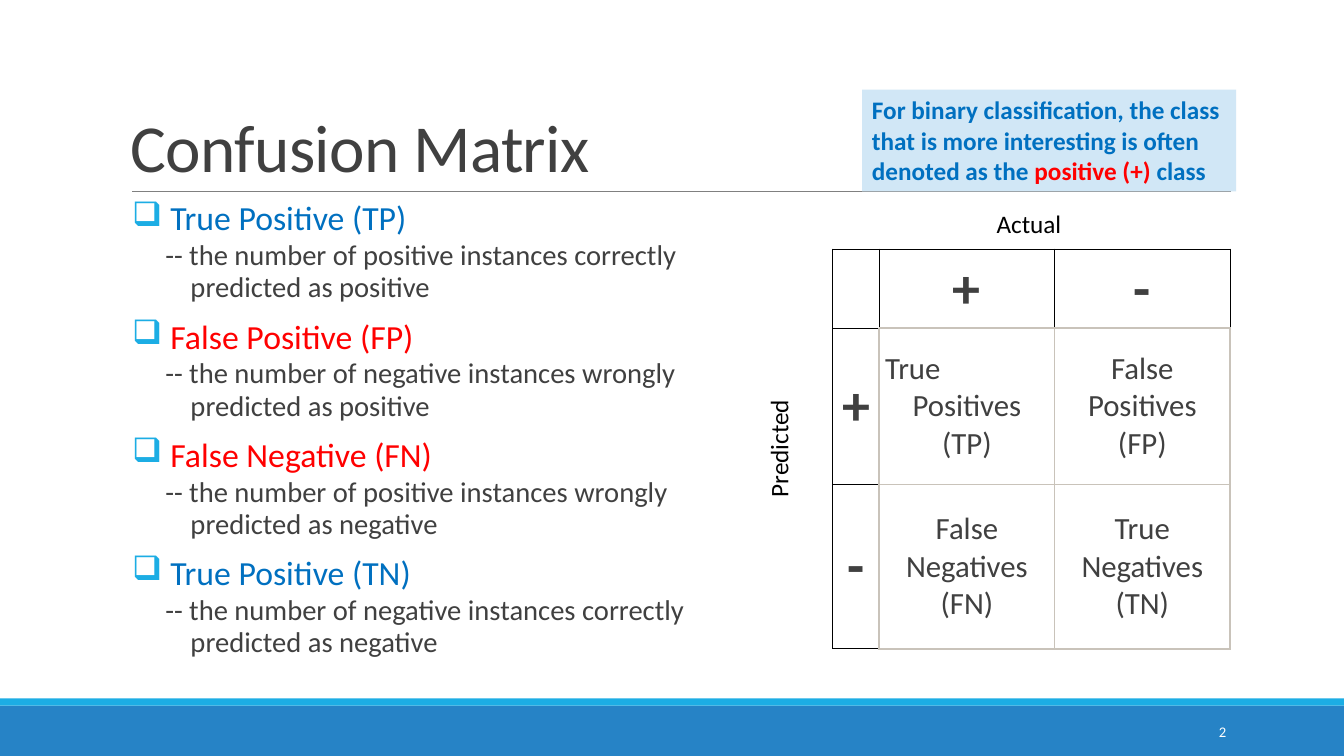
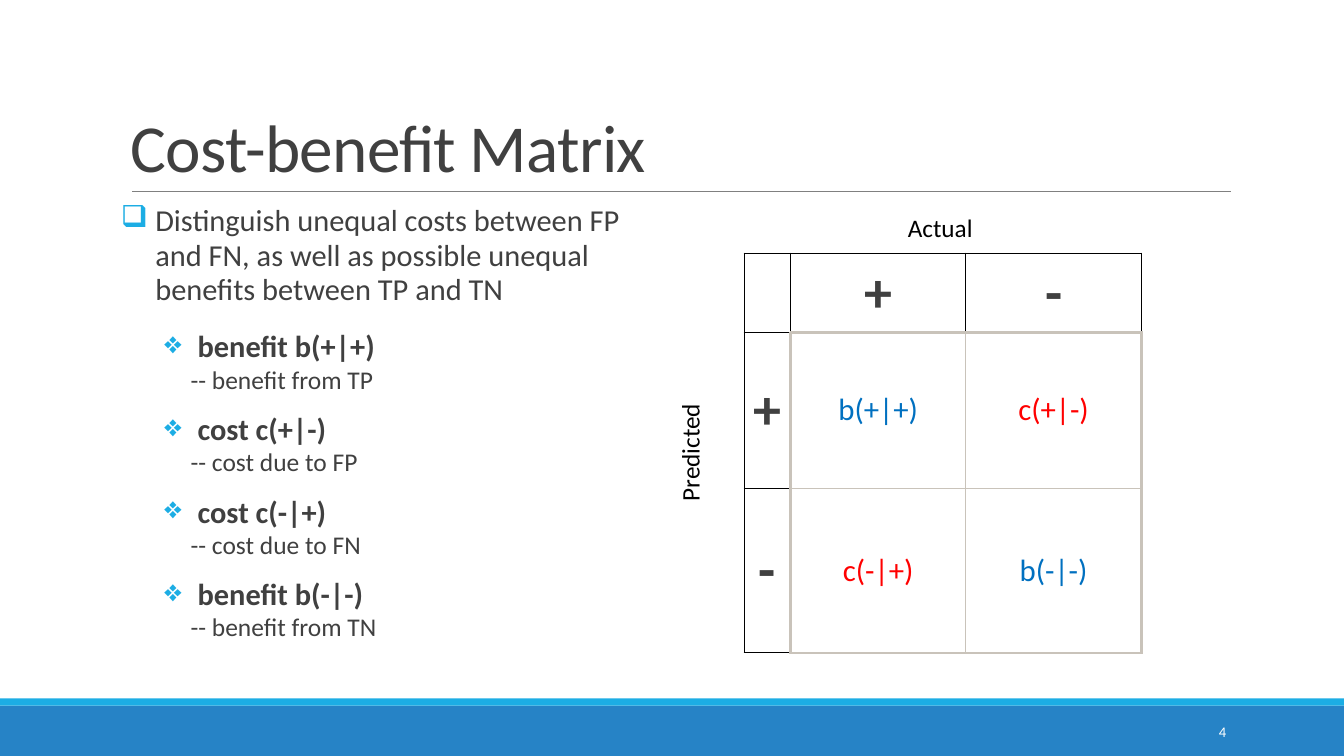
from dataclasses import dataclass
from typing import Optional

import pptx
import pptx.dml.color
import pptx.enum.shapes
import pptx.enum.text
import pptx.oxml
import pptx.oxml.ns
import pptx.util
from lxml import etree

Inches = pptx.util.Inches
Pt = pptx.util.Pt
RGBColor = pptx.dml.color.RGBColor
Align = pptx.enum.text.PP_ALIGN
Anchor = pptx.enum.text.MSO_ANCHOR

FONT = "Calibri"
BLACK = RGBColor(0x00, 0x00, 0x00)
WHITE = RGBColor(0xFF, 0xFF, 0xFF)
INK = RGBColor(0x40, 0x40, 0x40)
GREY = RGBColor(0x80, 0x80, 0x80)
SAND = RGBColor(0xC9, 0xC3, 0xBA)
BLUE = RGBColor(0x00, 0x70, 0xC0)
RED = RGBColor(0xFF, 0x00, 0x00)
PALE = RGBColor(0xD1, 0xE7, 0xF6)
BAND = RGBColor(0x26, 0x83, 0xC6)
CYAN = RGBColor(0x1C, 0xAD, 0xE4)

COLS = (0.46, 1.74, 1.74)
ROWS = (0.78, 1.55, 1.63)
LEAD = 0.94


@dataclass
class Item:
    head: str
    note: str
    color: RGBColor = INK


@dataclass
class Style:
    """Sizes in points and indents in inches for a list of items."""
    bullet: str
    head: float
    note: float
    left: float
    hang: float
    inset: float
    wrap: float
    after: float
    bold: bool = False


@dataclass
class Entry:
    """A body cell; lead is an opening line set flush left."""
    text: str
    color: RGBColor = INK
    lead: str = ""


TERMS = [
    Item("True Positive (TP)",
         "-- the number of positive instances correctly predicted as positive", BLUE),
    Item("False Positive (FP)",
         "-- the number of negative instances wrongly predicted as positive", RED),
    Item("False Negative (FN)",
         "-- the number of positive instances wrongly predicted as negative", RED),
    Item("True Positive (TN)",
         "-- the number of negative instances correctly predicted as negative", BLUE),
]
COSTS = [
    Item("benefit b(+|+)", "-- benefit from TP"),
    Item("cost c(+|-)", "-- cost due to FP"),
    Item("cost c(-|+)", "-- cost due to FN"),
    Item("benefit b(-|-)", "-- benefit from TN"),
]
COUNTS = [
    [Entry("Positives (TP)", lead="True"), Entry("False Positives (FP)")],
    [Entry("False Negatives (FN)"), Entry("True Negatives (TN)")],
]
VALUES = [
    [Entry("b(+|+)", BLUE), Entry("c(+|-)", RED)],
    [Entry("c(-|+)", RED), Entry("b(-|-)", BLUE)],
]
TERM = Style("❑", 24.1, 20.4, 0.38, 0.38, 0.33, 0.25, 10.2)
COST = Style("❖", 21.7, 18.2, 0.76, 0.33, 0.69, 0, 13, True)


def write(frame, text: str, *, size: float, color: RGBColor = INK,
          bold: bool = False, align=Align.LEFT, lead: float = 1,
          before: float = 0, after: float = 0, left: float = 0,
          hang: float = 0, bullet: Optional[str] = None,
          track: int = 0, join: bool = False) -> None:
    """Add a paragraph, or with join a run at the end of the last one."""
    para = frame.paragraphs[-1]
    if not join:
        if para.runs:
            para = frame.add_paragraph()
        props = para._p.get_or_add_pPr()
        props.set("marL", str(Inches(left)))
        props.set("indent", str(-Inches(hang)))
        if bullet:
            tint = etree.SubElement(props, pptx.oxml.ns.qn("a:buClr"))
            etree.SubElement(tint, pptx.oxml.ns.qn("a:srgbClr"), val=str(CYAN))
            etree.SubElement(props, pptx.oxml.ns.qn("a:buChar"), char=bullet)
        para.alignment = align
        para.line_spacing = lead
        para.space_before = Pt(before)
        para.space_after = Pt(after)
    run = para.add_run()
    run.text = text
    font = run.font
    font.name, font.size, font.bold = FONT, Pt(size), bold
    font.color.rgb = color
    if track:
        run._r.get_or_add_rPr().set("spc", str(track))


def inset(frame, side: float, top: float) -> None:
    frame.margin_left = frame.margin_right = Inches(side)
    frame.margin_top = frame.margin_bottom = Inches(top)


def box(slide, left: float, top: float, width: float, height: float,
        anchor=Anchor.TOP, wrap: bool = True):
    shape = slide.shapes.add_textbox(
        Inches(left), Inches(top), Inches(width), Inches(height))
    shape.text_frame.word_wrap = wrap
    shape.text_frame.vertical_anchor = anchor
    return shape


def block(slide, left: float, top: float, width: float, height: float,
          fill: RGBColor):
    shape = slide.shapes.add_shape(
        pptx.enum.shapes.MSO_SHAPE.RECTANGLE,
        Inches(left), Inches(top), Inches(width), Inches(height))
    shape.shadow.inherit = False
    shape.fill.solid()
    shape.fill.fore_color.rgb = fill
    shape.line.fill.background()
    return shape


def start(deck, title: str, number: int):
    """Add a slide with bands, title rule, title and page number."""
    slide = deck.slides.add_slide(deck.slide_layouts[6])
    block(slide, 0, 7, 13.33, 0.5, BAND)
    block(slide, 0, 6.93, 13.33, 0.07, CYAN)
    rule = slide.shapes.add_connector(
        pptx.enum.shapes.MSO_CONNECTOR.STRAIGHT,
        Inches(1.31), Inches(1.9), Inches(12.21), Inches(1.9))
    rule.line.color.rgb = GREY
    rule.line.width = Pt(0.5)
    etree.SubElement(rule._element.spPr, pptx.oxml.ns.qn("a:effectLst"))
    write(box(slide, 1.2, 0.31, 11, 1.59, Anchor.BOTTOM).text_frame,
          title, size=48, lead=0.85, track=-50)
    write(box(slide, 10.83, 7.06, 1.43, 0.4, Anchor.MIDDLE).text_frame,
          str(number), size=10.5, color=WHITE, align=Align.RIGHT)
    return slide


def column(slide, left: float, top: float, width: float):
    frame = box(slide, left, top, width, 4.8).text_frame
    inset(frame, 0, 0.05)
    return frame


def listing(frame, items: list[Item], style: Style) -> None:
    for item in items:
        write(frame, item.head, size=style.head, color=item.color,
              bold=style.bold, lead=LEAD, left=style.left,
              hang=style.hang, bullet=style.bullet)
        write(frame, item.note, size=style.note, lead=LEAD, before=1,
              after=style.after, left=style.inset + style.wrap,
              hang=style.wrap)


def edge(cell, side: str, color: RGBColor, width: float) -> None:
    line = etree.SubElement(cell._tc.get_or_add_tcPr(),
                            pptx.oxml.ns.qn(f"a:ln{side}"), w=str(Pt(width)))
    fill = etree.SubElement(line, pptx.oxml.ns.qn("a:solidFill"))
    etree.SubElement(fill, pptx.oxml.ns.qn("a:srgbClr"), val=str(color))


def border(cell, row: int, col: int) -> None:
    """Sand lines round the body, heavier outside; thin black elsewhere."""
    sides = (("L", col, row), ("R", col + 1, row),
             ("T", row, col), ("B", row + 1, col))
    for side, rank, cross in sides:
        if rank and cross:
            edge(cell, side, SAND, 1 if rank == 2 else 2)
        else:
            edge(cell, side, BLACK, 0.75)


def label(slide, text: str, left: float, top: float, width: float,
          turn: int = 0) -> None:
    shape = box(slide, left, top, width, 0.42, Anchor.MIDDLE, False)
    inset(shape.text_frame, 0.06, 0.06)
    shape.rotation = turn
    write(shape.text_frame, text, size=18, color=BLACK, align=Align.CENTER)


def matrix(slide, left: float, top: float, body: list[list[Entry]]) -> None:
    """Draw the two-by-two table with its signs and axis labels."""
    shape = slide.shapes.add_table(
        len(ROWS), len(COLS), Inches(left), Inches(top),
        Inches(sum(COLS)), Inches(sum(ROWS)))
    table = shape.table
    table.first_row = table.horz_banding = False
    for col, width in enumerate(COLS):
        table.columns[col].width = Inches(width)
    for row, height in enumerate(ROWS):
        table.rows[row].height = Inches(height)
        for col in range(len(COLS)):
            cell = table.cell(row, col)
            border(cell, row, col)
            cell.fill.background()
            cell.vertical_anchor = Anchor.MIDDLE
            inset(cell, 0.06, 0.06)
            frame = cell.text_frame
            if row and col:
                entry = body[row - 1][col - 1]
                if entry.lead:
                    write(frame, entry.lead, size=22, color=entry.color)
                write(frame, entry.text, size=22, color=entry.color,
                      align=Align.CENTER)
            elif row or col:
                write(frame, "+-"[max(row, col) - 1], size=40, bold=True,
                      align=Align.CENTER)
    label(slide, "Actual", left + 1.4, top - 0.46, 1.09)
    label(slide, "Predicted", left - 1.14, top + 1.77, 1.2, 270)


def confusion(deck) -> None:
    slide = start(deck, "Confusion Matrix", 2)
    listing(column(slide, 1.31, 1.94, 5.56), TERMS, TERM)
    frame = block(slide, 8.55, 0.89, 3.71, 1.01, PALE).text_frame
    frame.word_wrap = True
    frame.vertical_anchor = Anchor.TOP
    write(frame, "For binary classification, the class that is more "
          "interesting is often denoted as the ",
          size=18, color=BLUE, bold=True)
    write(frame, "positive (+) ", size=18, color=RED, bold=True, join=True)
    write(frame, "class", size=18, color=BLUE, bold=True, join=True)
    matrix(slide, 8.26, 2.47, COUNTS)


def benefit(deck) -> None:
    slide = start(deck, "Cost-benefit Matrix", 4)
    frame = column(slide, 1.2, 1.98, 5.11)
    write(frame, "Distinguish unequal costs between FP and FN, as well as "
          "possible unequal benefits between TP and TN",
          size=21.7, lead=LEAD, after=16.5, left=0.34, hang=0.34, bullet="❑")
    listing(frame, COSTS, COST)
    matrix(slide, 7.38, 2.51, VALUES)


def main() -> None:
    deck = pptx.Presentation()
    deck.slide_width = Inches(13.33)
    deck.slide_height = Inches(7.5)
    confusion(deck)
    benefit(deck)
    deck.save("out.pptx")


if __name__ == "__main__":
    main()
